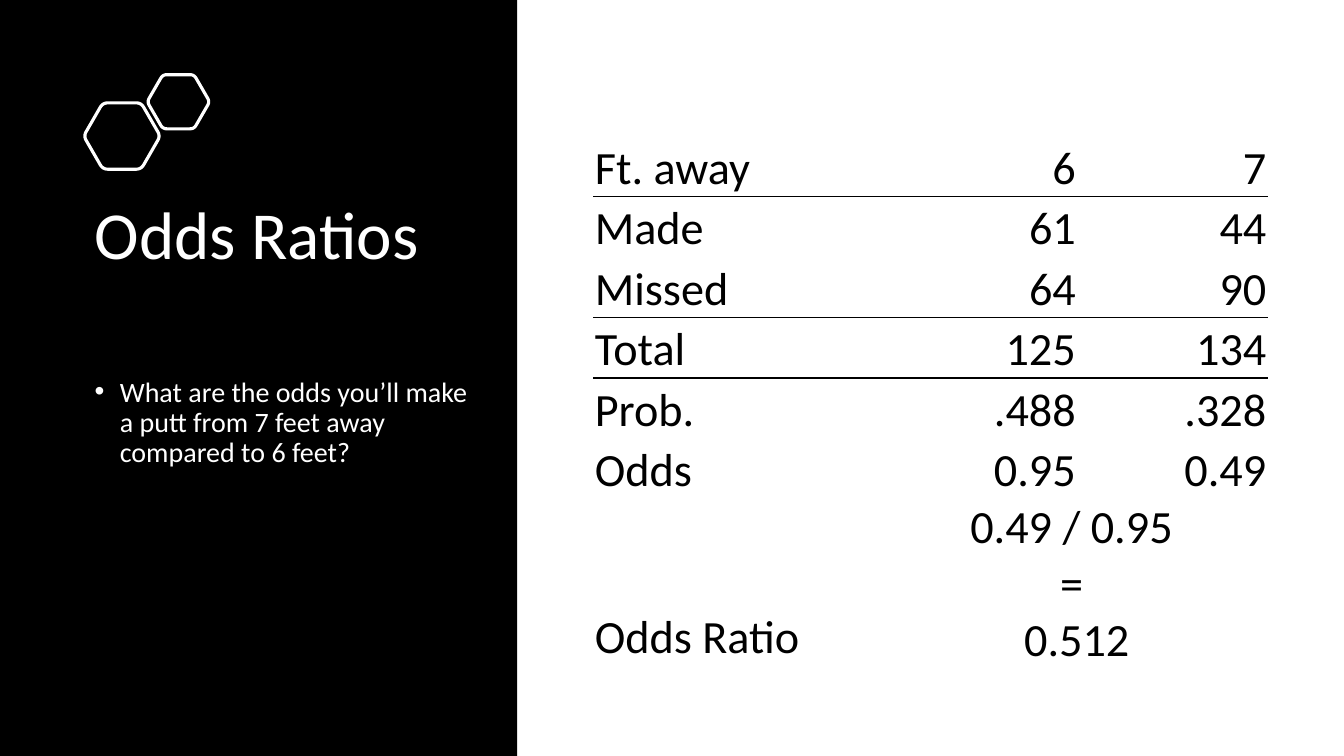
from dataclasses import dataclass
from math import cos, pi, sin

from lxml import etree
from pptx import Presentation
from pptx.dml.color import RGBColor
from pptx.enum.shapes import MSO_SHAPE
from pptx.enum.text import MSO_ANCHOR, MSO_AUTO_SIZE, PP_ALIGN
from pptx.oxml.ns import qn
from pptx.util import Inches, Pt

RECTANGLE = MSO_SHAPE.RECTANGLE
TOP, BOTTOM = MSO_ANCHOR.TOP, MSO_ANCHOR.BOTTOM
LEFT, CENTER, RIGHT = PP_ALIGN.LEFT, PP_ALIGN.CENTER, PP_ALIGN.RIGHT
NO_AUTOFIT = MSO_AUTO_SIZE.NONE


@dataclass(frozen=True)
class Theme:
    font: str = "Calibri"
    black: RGBColor = RGBColor(0, 0, 0)
    white: RGBColor = RGBColor(255, 255, 255)
    title: Pt = Pt(48)
    body: Pt = Pt(20)
    table: Pt = Pt(33)
    outline: Pt = Pt(2.25)
    rule: Pt = Pt(1)


theme = Theme()


def add_run(paragraph, text, size, color, alignment=LEFT):
    paragraph.alignment = alignment
    run = paragraph.add_run()
    run.text = text
    run.font.name = theme.font
    run.font.size = size
    run.font.color.rgb = color


def rounded_hexagon(center_x, center_y, radius, cut=0.13, steps=6):
    """Points of a hexagon whose corners are quadratic curves."""
    corners = [(center_x + radius * cos(i * pi / 3), center_y + radius * sin(i * pi / 3))
               for i in range(6)]
    points = []
    for i, corner in enumerate(corners):
        before, after = corners[i - 1], corners[(i + 1) % 6]
        for step in range(steps + 1):
            t = step / steps
            toward_before, toward_after = cut * (1 - t) ** 2, cut * t ** 2
            points.append(tuple(
                Inches(c + toward_before * (b - c) + toward_after * (a - c))
                for b, c, a in zip(before, corner, after)))
    return points


presentation = Presentation()
presentation.slide_width = Inches(13.33)
presentation.slide_height = Inches(7.5)
slide = presentation.slides.add_slide(presentation.slide_layouts[5])
shapes = slide.shapes

# Title
title = shapes.title
title.left, title.top = Inches(0.84), Inches(1.95)
title.width, title.height = Inches(3.92), Inches(1.6)
title_frame = title.text_frame
title_frame.word_wrap = True
title_frame.auto_size = NO_AUTOFIT
title_frame.vertical_anchor = TOP
title_frame.paragraphs[0].line_spacing = 0.9
add_run(title_frame.paragraphs[0], "Odds Ratios", theme.title, theme.white)

# Black panel behind the title
panel = shapes.add_shape(RECTANGLE, 0, 0, Inches(5.13), presentation.slide_height)
panel.shadow.inherit = False
panel.fill.solid()
panel.fill.fore_color.rgb = theme.black
panel.line.fill.background()
title.element.addprevious(panel.element)

# Pair of hexagons
hexagons = shapes.add_group_shape()
for center_x, center_y, radius in [(1.21, 1.35, 0.38), (1.77, 1.01, 0.31)]:
    points = rounded_hexagon(center_x, center_y, radius)
    builder = hexagons.shapes.build_freeform(*points[0])
    builder.add_line_segments(points[1:], close=True)
    hexagon = builder.convert_to_shape()
    hexagon.shadow.inherit = False
    hexagon.fill.background()
    hexagon.line.color.rgb = theme.white
    hexagon.line.width = theme.outline

# Question
question = shapes.add_textbox(Inches(0.84), Inches(3.7), Inches(3.92), Inches(3.05))
question.text_frame.word_wrap = True
paragraph = question.text_frame.paragraphs[0]
paragraph.line_spacing = 0.9
paragraph.space_before = Pt(10)
add_run(paragraph, "What are the odds you’ll make a putt from 7 feet away compared to 6 feet?",
        theme.body, theme.white)
properties = paragraph._p.get_or_add_pPr()
properties.set("marL", str(Inches(0.25)))
properties.set("indent", str(-Inches(0.25)))
etree.SubElement(properties, qn("a:buFont"), typeface="Arial")
etree.SubElement(properties, qn("a:buChar"), char="•")

# Putting table
rows = [
    ("Ft. away", "6", "7"),
    ("Made", "61", "44"),
    ("Missed", "64", "90"),
    ("Total", "125", "134"),
    ("Prob.", ".488", ".328"),
    ("Odds", "0.95", "0.49"),
    ("Odds Ratio", "0.49 / 0.95 \n= \n0.512", ""),
]
ruled_rows = {0, 2, 3}
last_row = len(rows) - 1
table = shapes.add_table(len(rows), 3, Inches(5.89), Inches(1.35),
                         Inches(6.68), Inches(5.24)).table
table.first_row = False
table.horz_banding = False
for column, width in zip(table.columns, (2.9, 1.89, 1.89)):
    column.width = Inches(width)
for row in table.rows:
    row.height = Inches(0.6)
table.rows[last_row].height = Inches(1.64)
table.cell(last_row, 1).merge(table.cell(last_row, 2))

for row_index, row in enumerate(rows):
    for column_index, text in enumerate(row):
        cell = table.cell(row_index, column_index)
        cell.fill.background()
        if cell.is_spanned:
            continue
        cell.vertical_anchor = BOTTOM
        cell.margin_left = cell.margin_right = cell.margin_top = Inches(0.01)
        cell.margin_bottom = 0
        alignment = LEFT if column_index == 0 else CENTER if cell.is_merge_origin else RIGHT
        for line_index, line in enumerate(text.split("\n")):
            frame = cell.text_frame
            paragraph = frame.add_paragraph() if line_index else frame.paragraphs[0]
            add_run(paragraph, line, theme.table, theme.black, alignment)

        # Rules are shared by the cells above and below them
        sides = [("a:lnT", row_index - 1), ("a:lnB", row_index)]
        cell_properties = cell._tc.get_or_add_tcPr()
        borders = [side for side, rule_row in sides if rule_row in ruled_rows]
        for position, side in enumerate(borders):
            border = etree.Element(qn(side), w=str(theme.rule))
            fill = etree.SubElement(border, qn("a:solidFill"))
            etree.SubElement(fill, qn("a:srgbClr"), val=str(theme.black))
            cell_properties.insert(position, border)

presentation.save("out.pptx")
